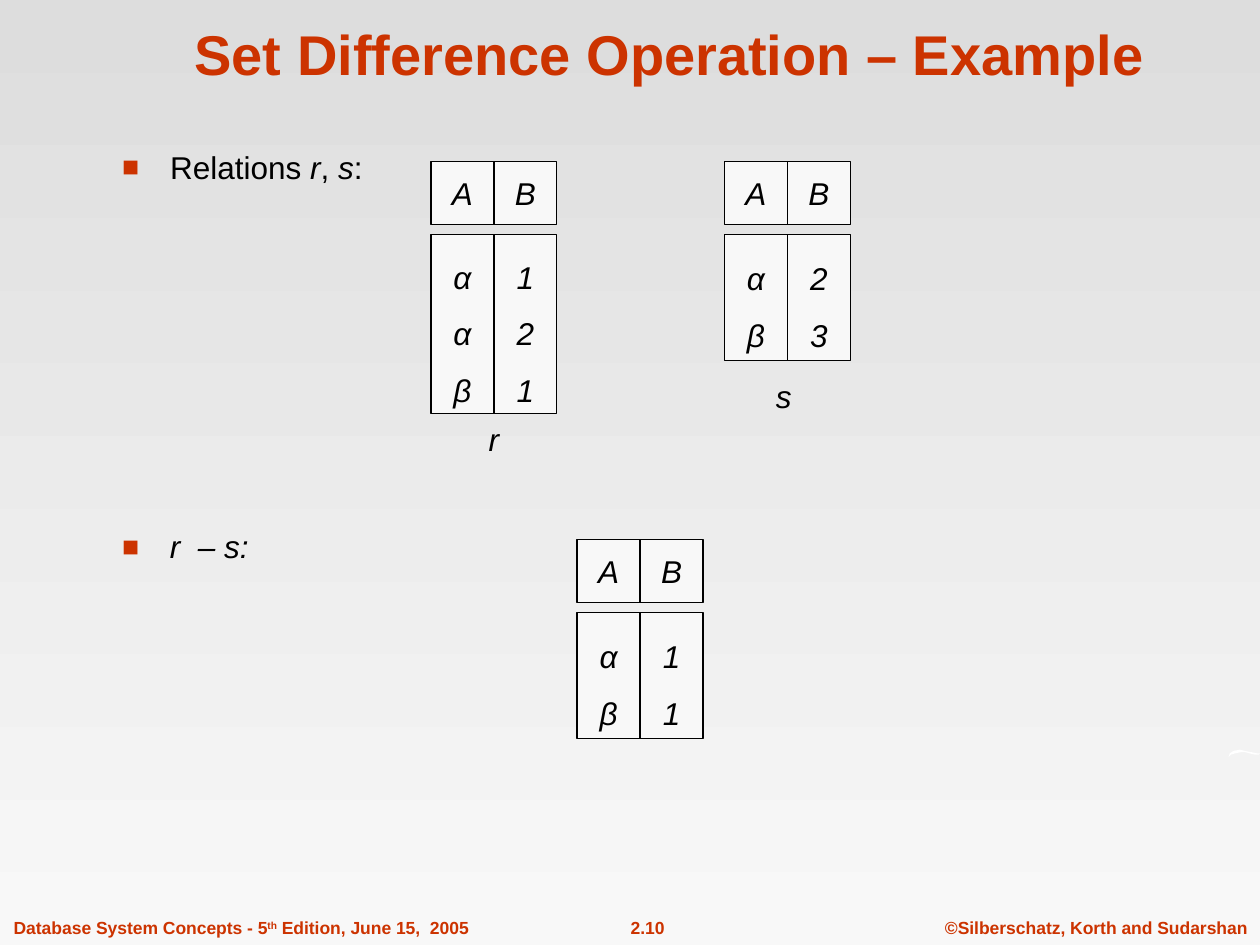
from lxml.etree import SubElement
from pptx import Presentation
from pptx.dml.color import RGBColor
from pptx.enum.shapes import MSO_SHAPE
from pptx.enum.text import MSO_ANCHOR, MSO_AUTO_SIZE, PP_ALIGN
from pptx.oxml.ns import qn
from pptx.util import Inches, Pt

COLORS = {"accent": "CC3300", "ink": "000000", "cell": "F8F8F8", "top": "DDDDDD", "swoosh": "FFFFFF"}
FONT = "Arial"
TITLE = "Set Difference Operation – Example"
RELATIONS_ITEM = [("Relations ", ""), ("r", "i"), (", ", ""), ("s", "i"), (":", "")]
DIFFERENCE_ITEM = [("r  – s:", "i")]
FOOTERS = [
    ([("©Silberschatz, Korth and Sudarshan", "b")], 7.4, 2.6, PP_ALIGN.CENTER),
    ([("2.10", "b")], 4.65, 0.98, PP_ALIGN.CENTER),
    ([("Database System Concepts - 5", "b"), ("th", "b^"), (" Edition, June 15,  2005", "b")],
     0.01, 3.81, PP_ALIGN.LEFT),
]
RELATIONS = [
    {"left": 3.42, "top": 1.28, "height": 1.42, "columns": {"A": "ααβ", "B": "121"}},
    {"left": 5.75, "top": 1.28, "height": 1, "columns": {"A": "αβ", "B": "23"}},
    {"left": 4.58, "top": 4.28, "height": 1, "columns": {"A": "αβ", "B": "11"}},
]
RELATION_NAMES = [("r", 3.78, 3.28, 0.28), ("s", 6.06, 2.94, 0.32)]
SWOOSH = [(9.75, 6.01), (9.76, 5.98), (9.79, 5.96), (9.84, 5.95), (9.88, 5.96), (9.93, 5.97),
          (9.98, 5.98), (10, 5.98), (9.99, 5.99), (9.96, 5.99), (9.92, 5.98), (9.88, 5.97),
          (9.85, 5.97), (9.8, 5.98), (9.77, 5.99)]
CELL = 0.5
BODY_OFFSET = 0.58


def rgb(name):
    return RGBColor.from_string(COLORS[name])


def place(shape, left, top, width, height):
    shape.left, shape.top = Inches(left), Inches(top)
    shape.width, shape.height = Inches(width), Inches(height)


def style(run, size, color, flags):
    font = run.font
    font.name, font.size, font.color.rgb = FONT, Pt(size), rgb(color)
    font.bold, font.italic = "b" in flags, "i" in flags
    if "^" in flags:
        run._r.get_or_add_rPr().set("baseline", "30000")


def write(paragraph, runs, size, color, align, before=0, spacing=1.0):
    paragraph.alignment = align
    paragraph.space_before, paragraph.line_spacing = Pt(before), spacing
    for text, flags in runs:
        run = paragraph.add_run()
        run.text = text
        style(run, size, color, flags)


def add_bullet(paragraph):
    properties = paragraph._p.get_or_add_pPr()
    properties.set("marL", str(Inches(0.38)))
    properties.set("indent", str(-Inches(0.38)))
    bullet_color = SubElement(properties, qn("a:buClr"))
    SubElement(bullet_color, qn("a:srgbClr"), val=COLORS["accent"])
    SubElement(properties, qn("a:buSzPct"), val="90000")
    SubElement(properties, qn("a:buFont"), typeface=FONT)
    SubElement(properties, qn("a:buChar"), char="■")


def write_item(item, runs, spacing):
    frame = item.text_frame
    frame.word_wrap, frame.auto_size = True, MSO_AUTO_SIZE.NONE
    write(frame.paragraphs[0], runs, 18, "ink", PP_ALIGN.LEFT, 7.9, spacing)
    add_bullet(frame.paragraphs[0])


def add_label(slide, runs, box, size, color, align, before, anchor):
    label = slide.shapes.add_textbox(*map(Inches, box))
    frame = label.text_frame
    frame.word_wrap, frame.auto_size = False, MSO_AUTO_SIZE.SHAPE_TO_FIT_TEXT
    frame.vertical_anchor = anchor
    write(frame.paragraphs[0], runs, size, color, align, before)


def paint(shape, color):
    shape.shadow.inherit = False
    shape.fill.solid()
    shape.fill.fore_color.rgb = rgb(color)


def add_cell(slide, values, box, spacing):
    cell = slide.shapes.add_shape(MSO_SHAPE.RECTANGLE, *map(Inches, box))
    paint(cell, "cell")
    cell.line.color.rgb, cell.line.width = rgb("ink"), Pt(0.75)
    frame = cell.text_frame
    frame.word_wrap, frame.vertical_anchor = False, MSO_ANCHOR.MIDDLE
    frame.text = "\n".join(values)
    for paragraph in frame.paragraphs:
        paragraph.alignment, paragraph.line_spacing = PP_ALIGN.CENTER, spacing
        style(paragraph.runs[0], 18, "ink", "i")


def add_relation(slide, relation):
    for index, (attribute, values) in enumerate(relation["columns"].items()):
        left, top = relation["left"] + index * CELL, relation["top"]
        add_cell(slide, attribute, (left, top, CELL, CELL), 1.0)
        add_cell(slide, values, (left, top + BODY_OFFSET, CELL, relation["height"]), 1.5)


def add_background(slide):
    fill = slide.background.fill
    fill.gradient()
    fill.gradient_angle = 270
    for stop, position, color in zip(fill.gradient_stops, (0, 1), ("top", "cell")):
        stop.position, stop.color.rgb = position, rgb(color)


def add_swoosh(slide):
    start, *rest = [(Inches(x), Inches(y)) for x, y in SWOOSH]
    builder = slide.shapes.build_freeform(*start)
    builder.add_line_segments(rest, close=True)
    swoosh = builder.convert_to_shape()
    paint(swoosh, "swoosh")
    swoosh.line.fill.background()


def main():
    """Build the set difference example slide."""
    deck = Presentation()
    deck.slide_width, deck.slide_height = Inches(10), Inches(7.5)
    slide = deck.slides.add_slide(deck.slide_layouts[1])
    add_background(slide)
    for runs, left, width, align in FOOTERS:
        add_label(slide, runs, (left, 7.23, width, 0.27), 10, "accent", align, 6.2, MSO_ANCHOR.TOP)
    add_swoosh(slide)

    title, relations_item = slide.placeholders
    place(title, 0.9, 0.07, 8.83, 0.67)
    title.text_frame.vertical_anchor = MSO_ANCHOR.BOTTOM
    title.text_frame.auto_size = MSO_AUTO_SIZE.NONE
    write(title.text_frame.paragraphs[0], [(TITLE, "b")], 32, "accent", PP_ALIGN.CENTER)

    place(relations_item, 0.87, 1.18, 7.5, 0.37)
    write_item(relations_item, RELATIONS_ITEM, 0.8)
    difference_item = slide.shapes.add_textbox(*map(Inches, (0.87, 4.17, 7.69, 0.36)))
    write_item(difference_item, DIFFERENCE_ITEM, 0.9)

    for relation in RELATIONS:
        add_relation(slide, relation)
    for name, left, top, width in RELATION_NAMES:
        add_label(slide, [(name, "i")], (left, top, width, 0.4), 18, "ink",
                  PP_ALIGN.CENTER, 11.2, MSO_ANCHOR.MIDDLE)
    deck.save("out.pptx")


if __name__ == "__main__":
    main()
